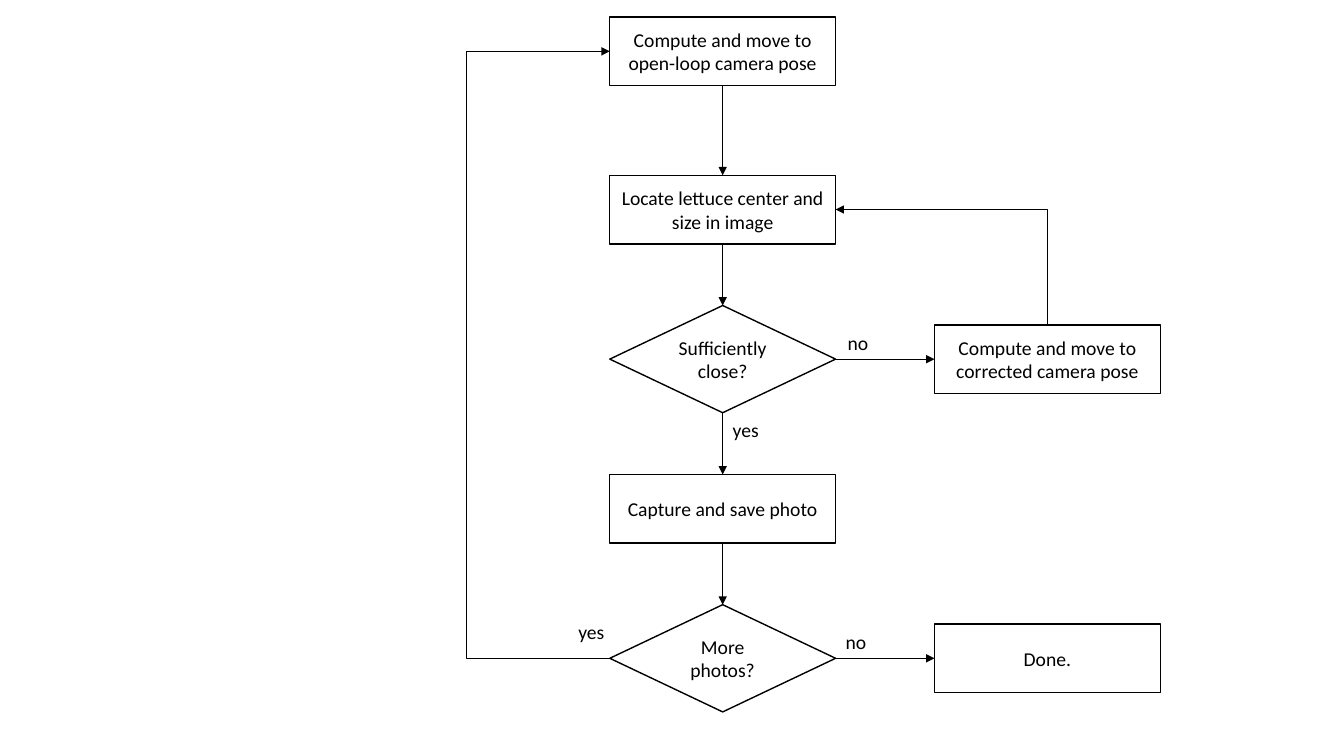
from lxml import etree
from pptx import Presentation
from pptx.dml.color import RGBColor
from pptx.enum.shapes import MSO_CONNECTOR as CONN, MSO_SHAPE as SHAPE
from pptx.enum.text import MSO_ANCHOR as ANCHOR, MSO_AUTO_SIZE as AUTO, PP_ALIGN as ALIGN
from pptx.oxml.ns import qn
from pptx.util import Pt

INK = "000000"
LEFT_X, MAIN_X, SIDE_X = 332, 516.24, 748.2
TOP_Y, LOOP_Y, STEP = 36.7, 149.7, 106.85
LOCATE_Y, CLOSE_Y, CAPTURE_Y, MORE_Y = [LOOP_Y + i * STEP for i in range(4)]
BOX_W, BOX_H, DECISION_H = 161.3, 49, 76.6
TOP, LEFT, BOTTOM, RIGHT = range(4)


def color(value):
    return RGBColor.from_string(value)


def write(tf, text, align):
    p = tf.paragraphs[0]
    p.alignment = align
    r = p.add_run()
    r.text = text
    r.font.name = "Calibri"
    r.font.size = Pt(14)
    r.font.color.rgb = color(INK)


def add_node(s, kind, x, y, h, text):
    sp = s.shapes.add_shape(kind, Pt(x - BOX_W / 2), Pt(y - h / 2), Pt(BOX_W), Pt(h))
    sp.shadow.inherit = False
    sp.fill.background()
    sp.line.color.rgb = color(INK)
    sp.line.width = Pt(1)
    tf = sp.text_frame
    tf.word_wrap = True
    tf.vertical_anchor = ANCHOR.MIDDLE
    write(tf, text, ALIGN.CENTER)
    return sp


def add_box(s, x, y, text):
    return add_node(s, SHAPE.RECTANGLE, x, y, BOX_H, text)


def add_decision(s, x, y, text):
    return add_node(s, SHAPE.FLOWCHART_DECISION, x, y, DECISION_H, text)


def add_label(s, x, y, w, text):
    tf = s.shapes.add_textbox(Pt(x), Pt(y), Pt(w), Pt(24.2)).text_frame
    tf.word_wrap = False
    tf.auto_size = AUTO.SHAPE_TO_FIT_TEXT
    write(tf, text, ALIGN.LEFT)


def add_arrow(s, kind, x1, y1, x2, y2):
    cxn = s.shapes.add_connector(kind, Pt(x1), Pt(y1), Pt(x2), Pt(y2))
    cxn.line.color.rgb = color(INK)
    cxn.line.width = Pt(0.5)
    etree.SubElement(cxn.line._get_or_add_ln(), qn("a:tailEnd"), type="triangle")
    etree.SubElement(cxn._element.spPr, qn("a:effectLst"))
    return cxn


def link(s, start, start_site, end, end_site):
    cxn = add_arrow(s, CONN.STRAIGHT, 0, 0, 0, 0)
    cxn.begin_connect(start, start_site)
    cxn.end_connect(end, end_site)


def add_up_then_left(s, x1, y1, x2, y2):
    w, h = y1 - y2, x1 - x2
    left, top = (x1 + x2 - w) / 2, (y1 + y2 - h) / 2
    cxn = add_arrow(s, CONN.ELBOW, left, top + h, left + w, top)
    sp_pr = cxn._element.spPr
    sp_pr.find(qn("a:xfrm")).set("rot", str(270 * 60000))
    sp_pr.find(qn("a:prstGeom")).set("prst", "bentConnector2")


def add_left_loop(s, x, y1, y2, bend_x):
    cxn = add_arrow(s, CONN.ELBOW, x + 1, y1, x, y2)
    geom = cxn._element.spPr.find(qn("a:prstGeom"))
    guides = geom.find(qn("a:avLst"))
    if guides is None:
        guides = etree.SubElement(geom, qn("a:avLst"))
    ratio = round((x + 1 - bend_x) * 100000)
    etree.SubElement(guides, qn("a:gd"), name="adj1", fmla=f"val {ratio}")


def main():
    prs = Presentation()
    prs.slide_width, prs.slide_height = Pt(960), Pt(540)
    s = prs.slides.add_slide(prs.slide_layouts[6])

    open_loop = add_box(s, MAIN_X, TOP_Y, "Compute and move to open-loop camera pose")
    locate = add_box(s, MAIN_X, LOCATE_Y, "Locate lettuce center and size in image")
    corrected = add_box(s, SIDE_X, CLOSE_Y, "Compute and move to corrected camera pose")
    capture = add_box(s, MAIN_X, CAPTURE_Y, "Capture and save photo")
    close = add_decision(s, MAIN_X, CLOSE_Y, "Sufficiently close?")
    more = add_decision(s, MAIN_X, MORE_Y, "More photos?")
    done = add_box(s, SIDE_X, MORE_Y, "Done.")

    column = [open_loop, locate, close, capture, more]
    for upper, lower in zip(column, column[1:]):
        link(s, upper, BOTTOM, lower, TOP)
    for decision, box in ((close, corrected), (more, done)):
        link(s, decision, RIGHT, box, LEFT)

    add_up_then_left(s, SIDE_X, CLOSE_Y - BOX_H / 2, MAIN_X + BOX_W / 2, LOCATE_Y)
    add_left_loop(s, MAIN_X - BOX_W / 2, MORE_Y, TOP_Y, LEFT_X)

    for x, y, w, text in (
        (598.3, 232.6, 29.5, "no"),
        (516.24, 295.2, 33.1, "yes"),
        (596.9, 446.4, 29.5, "no"),
        (406, 439.2, 33.1, "yes"),
    ):
        add_label(s, x, y, w, text)

    prs.save("out.pptx")


main()
